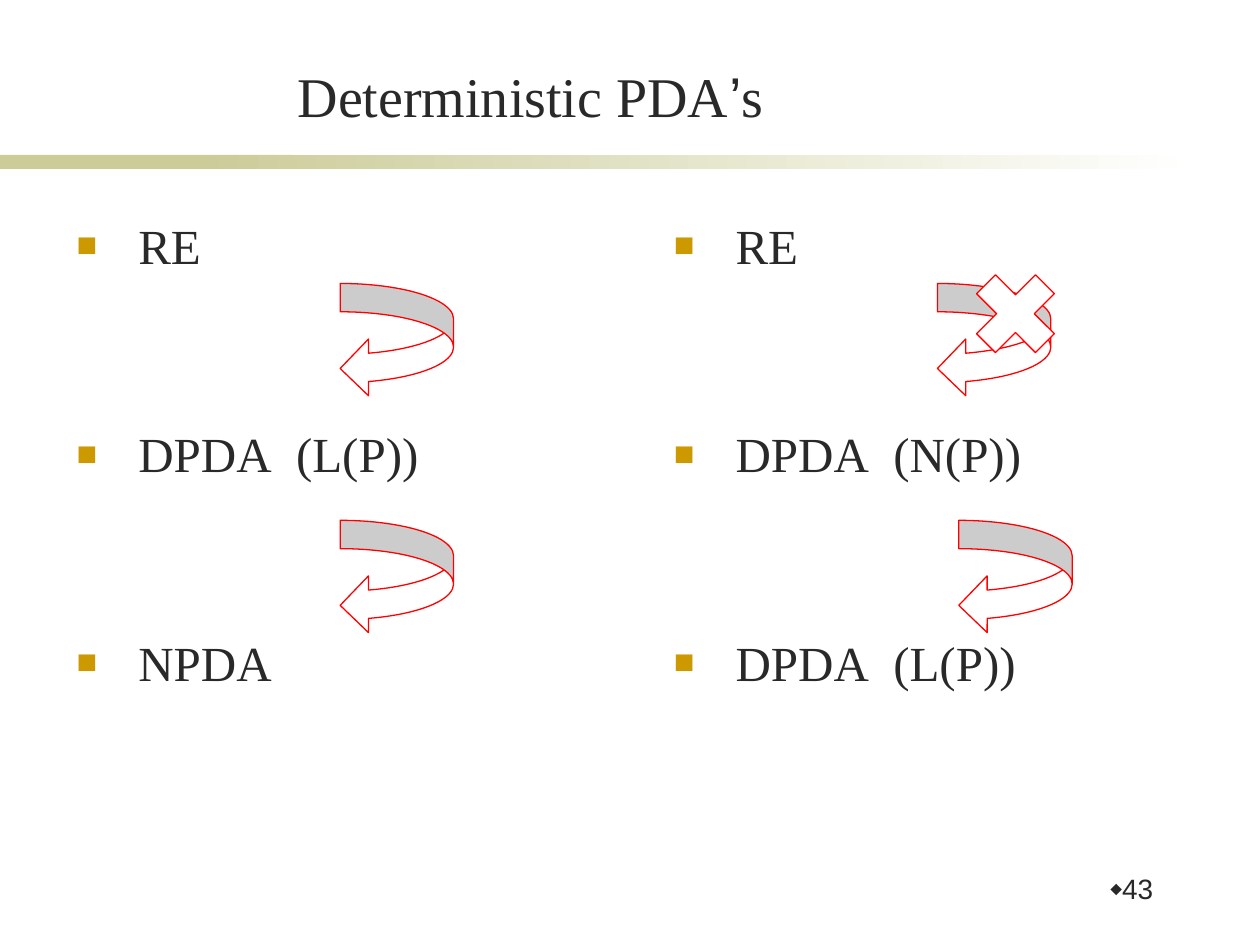
from dataclasses import dataclass
from lxml.etree import SubElement
from pptx import Presentation
from pptx.dml.color import RGBColor
from pptx.enum.shapes import MSO_SHAPE
from pptx.enum.text import MSO_ANCHOR, PP_ALIGN
from pptx.oxml.ns import qn
from pptx.util import Inches, Pt


@dataclass(frozen=True)
class Theme:
    ink: str = "292929"
    paper: str = "FFFFFF"
    band: str = "CCCC99"
    marker: str = "CC9900"
    outline: str = "FF0000"
    serif: str = "Times New Roman"
    sans: str = "Arial"
    title_size: int = 32
    body_size: int = 28
    number_size: int = 16
    word_gap: int = 7
    item_gap: float = 85.5


THEME = Theme()
TITLE = [("Deterministic PDA", THEME.serif), ("’", THEME.sans), ("s", THEME.serif)]
COLUMNS = [
    (0.51, [["RE"], ["DPDA", "(L(P))"], ["NPDA"]]),
    (5.25, [["RE"], ["DPDA", "(N(P))"], ["DPDA", "(L(P))"]]),
]
COLUMN_TOP, COLUMN_WIDTH, COLUMN_HEIGHT = 1.66, 4, 4.8
SYMBOL_SIZE = 0.9
SYMBOLS = [
    (MSO_SHAPE.CURVED_LEFT_ARROW, 2.7, 2.25),
    (MSO_SHAPE.CURVED_LEFT_ARROW, 2.7, 4.13),
    (MSO_SHAPE.CURVED_LEFT_ARROW, 7.44, 2.25),
    (MSO_SHAPE.CURVED_LEFT_ARROW, 7.61, 4.13),
    (MSO_SHAPE.MATH_MULTIPLY, 7.61, 2.04),
]
PAGE_NUMBER = "43"


def color(value):
    return RGBColor.from_string(value)


def add_box(page, left, top, width, height):
    box = page.shapes.add_textbox(Inches(left), Inches(top), Inches(width), Inches(height))
    box.text_frame.word_wrap = True
    return box.text_frame


def add_span(para, text, font, size):
    span = para.add_run()
    span.text = text
    span.font.name = font
    span.font.size = Pt(size)
    span.font.color.rgb = color(THEME.ink)
    return span


def add_bullet(para, symbol, tint, percent, indent=0):
    properties = para._p.get_or_add_pPr()
    properties.set("marL", str(Inches(indent)))
    properties.set("indent", str(-Inches(indent)))
    holder = SubElement(properties, qn("a:buClr"))
    SubElement(holder, qn("a:srgbClr"), val=tint)
    SubElement(properties, qn("a:buSzPct"), val=str(percent * 1000))
    SubElement(properties, qn("a:buFont"), typeface=THEME.sans)
    SubElement(properties, qn("a:buChar"), char=symbol)


def add_shape(page, kind, left, top, width, height):
    shape = page.shapes.add_shape(kind, Inches(left), Inches(top), Inches(width), Inches(height))
    shape.shadow.inherit = False
    return shape


def add_band(page):
    solid = add_shape(page, MSO_SHAPE.RECTANGLE, 0, 1.23, 2.33, 0.11)
    solid.fill.solid()
    solid.fill.fore_color.rgb = color(THEME.band)
    solid.line.fill.background()
    fade = add_shape(page, MSO_SHAPE.RECTANGLE, 1.58, 1.23, 7.92, 0.11)
    fade.fill.gradient()
    fade.fill.gradient_angle = 0
    for stop, tint in zip(fade.fill.gradient_stops, (THEME.band, THEME.paper)):
        stop.color.rgb = color(tint)
    fade.line.fill.background()


def add_title(page):
    frame = add_box(page, 1.14, 0.44, 6.14, 0.63)
    frame.vertical_anchor = MSO_ANCHOR.BOTTOM
    para = frame.paragraphs[0]
    para.alignment = PP_ALIGN.CENTER
    for text, font in TITLE:
        add_span(para, text, font, THEME.title_size)


def add_column(page, left, items):
    frame = add_box(page, left, COLUMN_TOP, COLUMN_WIDTH, COLUMN_HEIGHT)
    for row, words in enumerate(items):
        para = frame.add_paragraph() if row else frame.paragraphs[0]
        if row:
            para.space_before = Pt(THEME.item_gap)
        add_bullet(para, "■", THEME.marker, 70, 0.49)
        for position, word in enumerate(words):
            if position:
                gap = add_span(para, " ", THEME.serif, THEME.body_size)
                gap.font._element.set("spc", str(THEME.word_gap * 100))
            add_span(para, word, THEME.serif, THEME.body_size)


def add_symbol(page, kind, left, top):
    symbol = add_shape(page, kind, left, top, SYMBOL_SIZE, SYMBOL_SIZE)
    symbol.fill.solid()
    symbol.fill.fore_color.rgb = color(THEME.paper)
    symbol.line.color.rgb = color(THEME.outline)
    symbol.line.width = Pt(0.75)


def add_page_number(page):
    para = add_box(page, 8.23, 6.9, 1.02, 0.47).paragraphs[0]
    para.alignment = PP_ALIGN.RIGHT
    para.line_spacing = 0.9
    add_bullet(para, "⬥", THEME.ink, 60)
    add_span(para, PAGE_NUMBER, THEME.sans, THEME.number_size)


def main():
    """Build the slide on deterministic pushdown automata."""
    deck = Presentation()
    deck.slide_width, deck.slide_height = Inches(10), Inches(7.5)
    page = deck.slides.add_slide(deck.slide_layouts[6])
    add_band(page)
    add_title(page)
    for left, items in COLUMNS:
        add_column(page, left, items)
    for kind, left, top in SYMBOLS:
        add_symbol(page, kind, left, top)
    add_page_number(page)
    deck.save("out.pptx")


if __name__ == "__main__":
    main()
